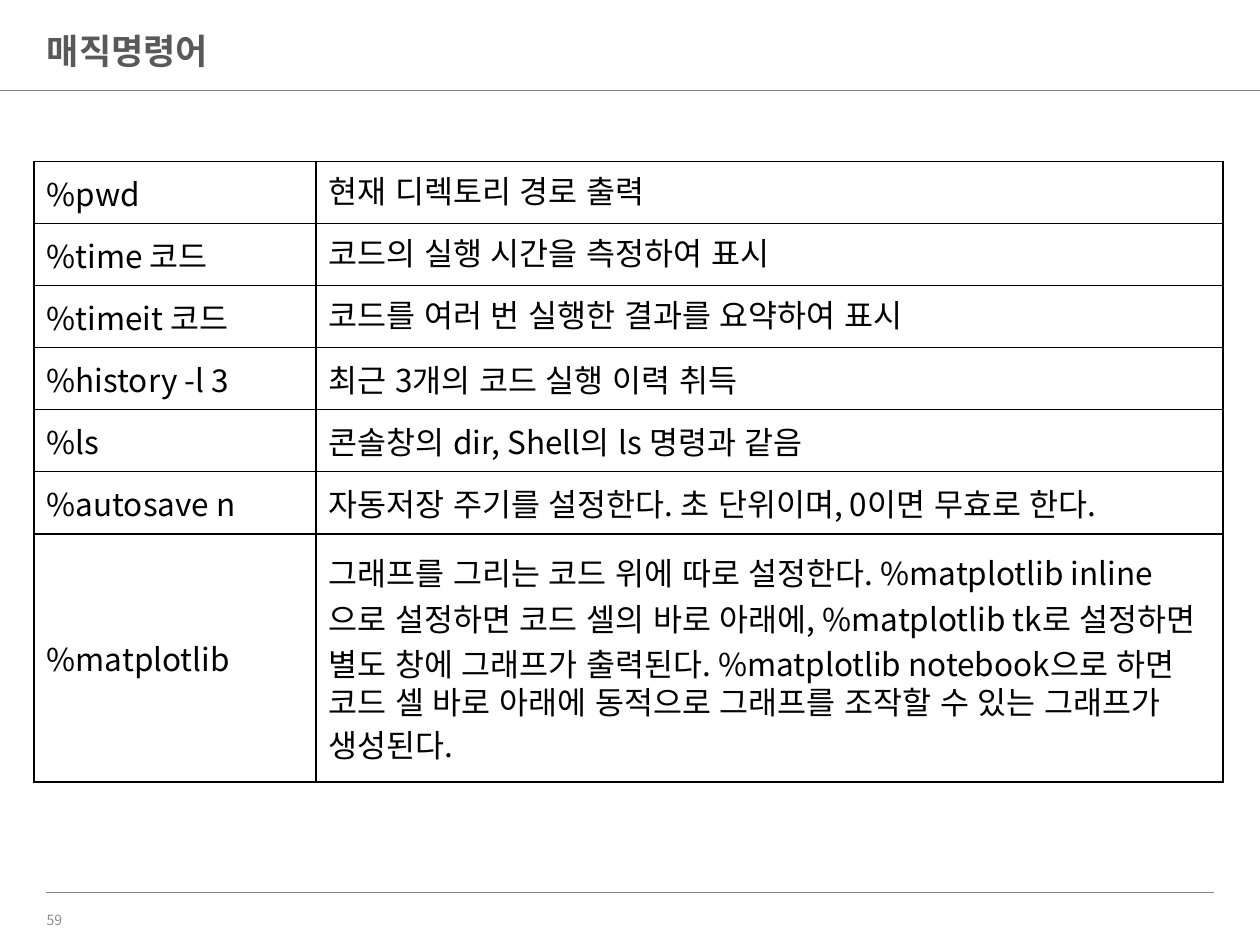
from lxml.etree import SubElement
from pptx import Presentation
from pptx.dml.color import RGBColor
from pptx.enum.shapes import MSO_CONNECTOR
from pptx.enum.text import MSO_ANCHOR, MSO_AUTO_SIZE, PP_ALIGN
from pptx.oxml import parse_xml
from pptx.oxml.ns import nsdecls, qn
from pptx.util import Pt

HUES = {"ink": "000000", "title": "595959", "rule": "808080", "page": "8C8C8C"}
FONT, EAST = "Noto Sans CJK KR", "Arial"
LEFT, WIDTH = 19.5, 679.5
ROW, LAST = 35.48, 141.75
COLS = (161, 518.5)

ROWS = [
    ("%pwd", "현재 디렉토리 경로 출력"),
    ("%time 코드", "코드의 실행 시간을 측정하여 표시"),
    ("%timeit 코드", "코드를 여러 번 실행한 결과를 요약하여 표시"),
    ("%history -l 3", "최근 3개의 코드 실행 이력 취득"),
    ("%ls", "콘솔창의 dir, Shell의 ls 명령과 같음"),
    ("%autosave n", "자동저장 주기를 설정한다. 초 단위이며, 0이면 무효로 한다."),
    ("%matplotlib",
     "그래프를 그리는 코드 위에 따로 설정한다. %matplotlib inline으로 설정하면 "
     "코드 셀의 바로 아래에, %matplotlib tk로 설정하면 별도 창에 그래프가 출력된다. "
     "%matplotlib notebook으로 하면 코드 셀 바로 아래에 동적으로 그래프를 조작할 수 "
     "있는 그래프가 생성된다."),
]


def write(frame, text, size=18, font=FONT, hue="ink", bold=False, space=None):
    frame.word_wrap = True
    para = frame.paragraphs[0]
    para.alignment = PP_ALIGN.LEFT
    if space:
        para.line_spacing = space
    run = para.add_run()
    run.text = text
    run.font.size = Pt(size)
    run.font.name = font
    run.font.bold = bold
    run.font.color.rgb = RGBColor.from_string(HUES[hue])
    SubElement(run.font._element, qn("a:ea")).set("typeface", EAST)


def edge(cell, hue="ink", width=1):
    """Draw a line on all four sides of a cell."""
    props = cell._tc.get_or_add_tcPr()
    for spot, side in enumerate("LRTB"):
        props.insert(spot, parse_xml(
            f'<a:ln{side} {nsdecls("a")} w="{Pt(width)}"><a:solidFill>'
            f'<a:srgbClr val="{HUES[hue]}"/></a:solidFill></a:ln{side}>'))


class Page:
    def __init__(self, deck):
        self.slide = deck.slides.add_slide(deck.slide_layouts[5])
        self.shapes = self.slide.shapes

    def title(self, text, x, y, w, h):
        box = self.shapes.title
        box.left, box.top, box.width, box.height = map(Pt, (x, y, w, h))
        frame = box.text_frame
        frame.auto_size = MSO_AUTO_SIZE.NONE
        frame.vertical_anchor = MSO_ANCHOR.MIDDLE
        write(frame, text, size=20, font="Arial", hue="title", bold=True, space=0.9)

    def label(self, text, x, y, w, h, **style):
        frame = self.shapes.add_textbox(*map(Pt, (x, y, w, h))).text_frame
        frame.vertical_anchor = MSO_ANCHOR.MIDDLE
        write(frame, text, **style)

    def rule(self, x, y, end):
        line = self.shapes.add_connector(
            MSO_CONNECTOR.STRAIGHT, *map(Pt, (x, y, end, y)))
        line.line.color.rgb = RGBColor.from_string(HUES["rule"])
        line.line.width = Pt(0.5)
        SubElement(line._element.spPr, qn("a:effectLst"))

    def table(self, rows, x, y, cols, highs):
        size = map(Pt, (x, y, sum(cols), sum(highs)))
        grid = self.shapes.add_table(len(rows), len(cols), *size).table
        grid.first_row = grid.horz_banding = False
        for col, width in zip(grid.columns, cols):
            col.width = Pt(width)
        for row, high, texts in zip(grid.rows, highs, rows):
            row.height = Pt(high)
            for cell, text in zip(row.cells, texts):
                cell.fill.background()
                cell.vertical_anchor = MSO_ANCHOR.MIDDLE
                write(cell.text_frame, text)
                edge(cell)


def main():
    deck = Presentation()
    deck.slide_width, deck.slide_height = Pt(720), Pt(540)
    page = Page(deck)
    page.rule(26.5, 510.25, 693.5)
    page.rule(0, 51.75, 720)
    page.label("59", LEFT, 517, 162, 17, size=8, hue="page")
    page.title("매직명령어", LEFT, 12.25, WIDTH, 36.5)
    highs = [ROW] * (len(ROWS) - 1) + [LAST]
    page.table(ROWS, LEFT, 92.25, COLS, highs)
    deck.save("out.pptx")


if __name__ == "__main__":
    main()
